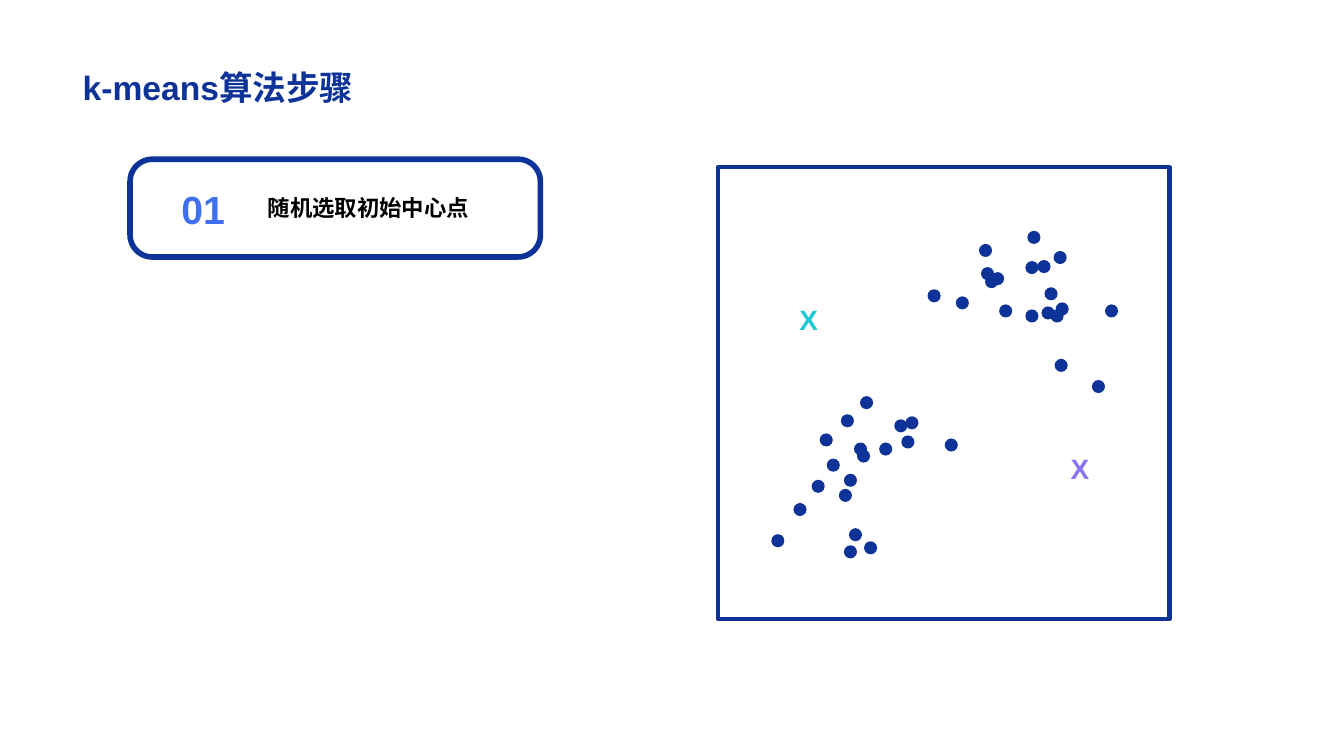
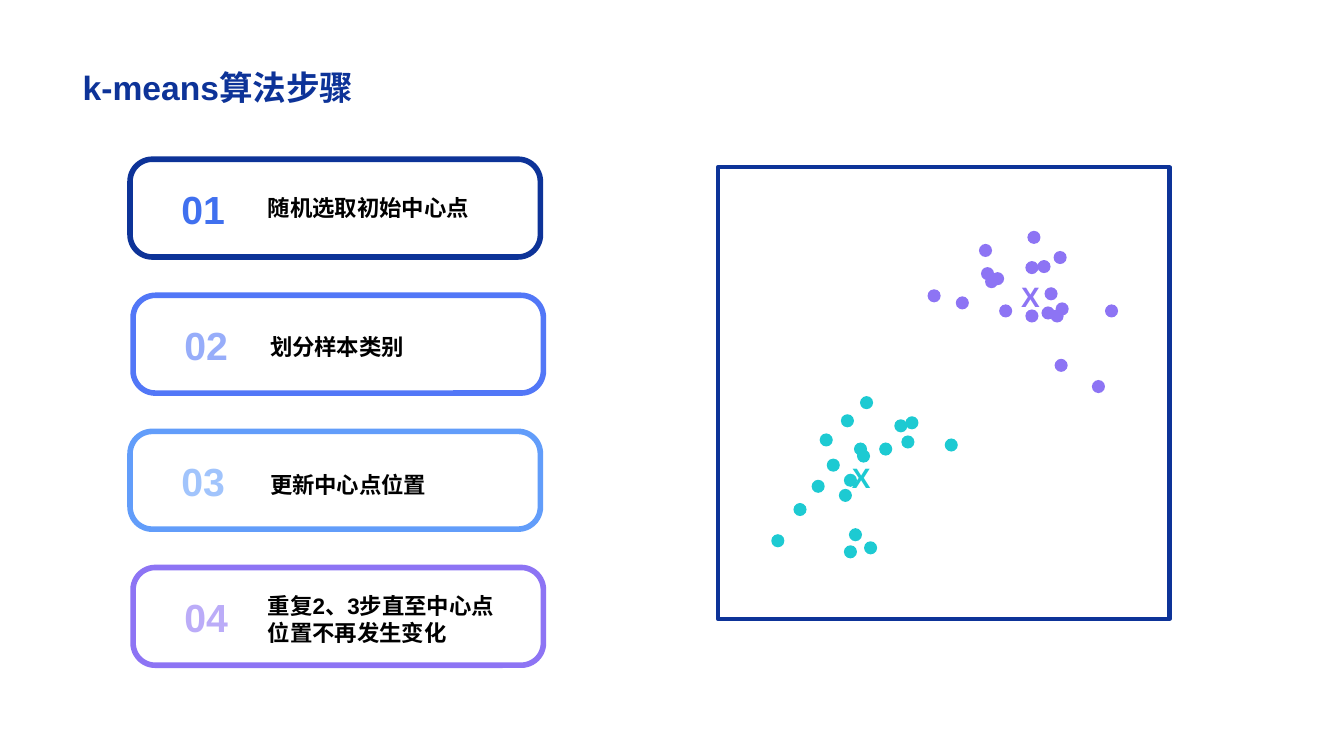
from dataclasses import dataclass

import pptx
import pptx.dml.color
import pptx.enum.shapes
import pptx.enum.text
import pptx.oxml
import pptx.oxml.ns
import pptx.presentation
import pptx.shapes.autoshape
import pptx.shapes.base
import pptx.slide
import pptx.text.text
import pptx.util

Inches = pptx.util.Inches
Pt = pptx.util.Pt
SHAPES = pptx.enum.shapes.MSO_SHAPE

FONT = "Arial"
COLORS = {
    "white": "FFFFFF",
    "black": "000000",
    "navy": "0D3398",
    "royal": "4070EF",
    "blue": "5277F7",
    "pale_blue": "97ADFA",
    "sky": "629DFA",
    "pale_sky": "A1C4FC",
    "violet": "8D74F4",
    "pale_violet": "BBACF8",
    "teal": "1DCAD2",
}

TITLE = "k-means算法步骤"
STEP_TOP, STEP_PITCH = 1.58, 1.35
STEP_WIDTH, STEP_HEIGHT = 4.07, 0.97
DOT_SIZE = 0.13
MARK_WIDTH, MARK_HEIGHT = 0.43, 0.44

# Left and top of every sample dot, by cluster
UPPER_CLUSTER = [
    (9.2, 2.87), (9.48, 2.94), (9.77, 2.73), (9.83, 2.7), (9.73, 2.65),
    (9.71, 2.42), (10.19, 2.29), (10.45, 2.49), (10.29, 2.58), (10.17, 2.59),
    (10.36, 2.85), (10.42, 3.07), (10.47, 3), (10.33, 3.04), (10.17, 3.07),
    (9.91, 3.02), (10.96, 3.02), (10.83, 3.77), (10.46, 3.56),
]
LOWER_CLUSTER = [
    (9.37, 4.35), (8.98, 4.13), (8.87, 4.16), (8.94, 4.32), (8.72, 4.39),
    (8.5, 4.46), (8.47, 4.39), (8.34, 4.11), (8.13, 4.3), (8.2, 4.55),
    (8.37, 4.7), (8.32, 4.85), (8.05, 4.76), (7.87, 4.99), (8.53, 3.93),
    (8.42, 5.24), (8.57, 5.37), (8.37, 5.41), (7.65, 5.3),
]


@dataclass(frozen=True)
class Step:
    label: str
    left: float
    label_left: float
    label_offset: float
    label_width: float
    light: str
    dark: str


@dataclass(frozen=True)
class Center:
    left: float
    top: float
    color: str


@dataclass(frozen=True)
class Stage:
    """One state of the algorithm: visible steps, dot colours and centres."""
    step_count: int
    upper_color: str
    lower_color: str
    centers: tuple[Center, ...]


STEPS = [
    Step("随机选取初始中心点", 1.29, 2.56, 0.3, 2.4, "royal", "navy"),
    Step("划分样本类别", 1.32, 2.58, 0.33, 2.14, "pale_blue", "blue"),
    Step("更新中心点位置", 1.29, 2.58, 0.34, 2.14, "pale_sky", "sky"),
    Step("重复2、3步直至中心点位置不再发生变化", 1.32, 2.56, 0.2, 2.47,
         "pale_violet", "violet"),
]
STAGES = [
    Stage(1, "navy", "navy",
          (Center(7.83, 2.95, "teal"), Center(10.52, 4.43, "violet"))),
    Stage(4, "violet", "teal",
          (Center(8.35, 4.52, "teal"), Center(10.03, 2.72, "violet"))),
]


def rgb(name: str) -> pptx.dml.color.RGBColor:
    return pptx.dml.color.RGBColor.from_string(COLORS[name])


def place(shape: pptx.shapes.base.BaseShape, left: float, top: float,
          width: float, height: float) -> None:
    shape.left, shape.top = Inches(left), Inches(top)
    shape.width, shape.height = Inches(width), Inches(height)


def format_span(span: pptx.text.text._Run, size: float, color: str) -> None:
    span.font.size = Pt(size)
    span.font.bold = True
    span.font.color.rgb = rgb(color)
    span.font.name = FONT
    east_asian = pptx.oxml.parse_xml(
        f'<a:ea {pptx.oxml.ns.nsdecls("a")} typeface="{FONT}"/>')
    span.font._element.append(east_asian)


def add_text(page: pptx.slide.Slide, text: str, left: float, top: float,
             width: float, height: float, size: float, color: str,
             wrap: bool = True) -> pptx.text.text._Run:
    box = page.shapes.add_textbox(
        Inches(left), Inches(top), Inches(width), Inches(height))
    box.text_frame.word_wrap = wrap
    box.text_frame.text = text
    span = box.text_frame.paragraphs[0].runs[0]
    format_span(span, size, color)
    return span


def add_panel(page: pptx.slide.Slide, kind: SHAPES, left: float, top: float,
              width: float, height: float, fill: str | None,
              line: str | None = None,
              line_width: float = 1) -> pptx.shapes.autoshape.Shape:
    """Add a flat shape; a colour of None leaves fill or line out."""
    panel = page.shapes.add_shape(
        kind, Inches(left), Inches(top), Inches(width), Inches(height))
    panel.shadow.inherit = False
    if fill:
        panel.fill.solid()
        panel.fill.fore_color.rgb = rgb(fill)
    else:
        panel.fill.background()
    if line:
        panel.line.color.rgb = rgb(line)
        panel.line.width = Pt(line_width)
    else:
        panel.line.fill.background()
    return panel


def add_title(page: pptx.slide.Slide) -> None:
    title = page.shapes.title
    place(title, 0.72, 0, 11.88, 1.12)
    frame = title.text_frame
    frame.text = TITLE
    frame.auto_size = pptx.enum.text.MSO_AUTO_SIZE.NONE
    frame.vertical_anchor = pptx.enum.text.MSO_ANCHOR.BOTTOM
    para = frame.paragraphs[0]
    para.alignment = pptx.enum.text.PP_ALIGN.LEFT
    para.line_spacing = 0.9
    format_span(para.runs[0], 24, "navy")


def add_step(page: pptx.slide.Slide, index: int, step: Step) -> None:
    top = STEP_TOP + index * STEP_PITCH
    frame = add_panel(page, SHAPES.ROUNDED_RECTANGLE, step.left, top,
                      STEP_WIDTH, STEP_HEIGHT, None, step.dark, 4)
    frame.adjustments[0] = 0.227
    add_text(page, step.label, step.label_left, top + step.label_offset,
             step.label_width, 0.37, 16, "black")
    number = add_text(page, f"{index + 1:02d}", step.left + 0.41, top + 0.21,
                      0.86, 0.53, 28, step.light, wrap=False)
    fill = number.font.fill
    fill.gradient()
    fill.gradient_angle = 315
    for stop, color, position in zip(
            fill.gradient_stops, (step.light, step.dark), (0, 0.6)):
        stop.color.rgb = rgb(color)
        stop.position = position


def add_scatter(page: pptx.slide.Slide, stage: Stage) -> None:
    add_panel(page, SHAPES.RECTANGLE, 7.12, 1.66, 4.48, 4.48,
              "white", "navy", 3)
    clusters = ((UPPER_CLUSTER, stage.upper_color),
                (LOWER_CLUSTER, stage.lower_color))
    for dots, color in clusters:
        for left, top in dots:
            add_panel(page, SHAPES.OVAL, left, top, DOT_SIZE, DOT_SIZE, color)
    for center in stage.centers:
        add_text(page, "X", center.left, center.top, MARK_WIDTH, MARK_HEIGHT,
                 20, center.color)


def add_stage(deck: pptx.presentation.Presentation, stage: Stage) -> None:
    page = deck.slides.add_slide(deck.slide_layouts.get_by_name("Title Only"))
    add_title(page)
    add_scatter(page, stage)
    for index, step in enumerate(STEPS[:stage.step_count]):
        add_step(page, index, step)


def main() -> None:
    deck = pptx.Presentation()
    deck.slide_width, deck.slide_height = Inches(13.33), Inches(7.5)
    for stage in STAGES:
        add_stage(deck, stage)
    deck.save("out.pptx")


if __name__ == "__main__":
    main()
